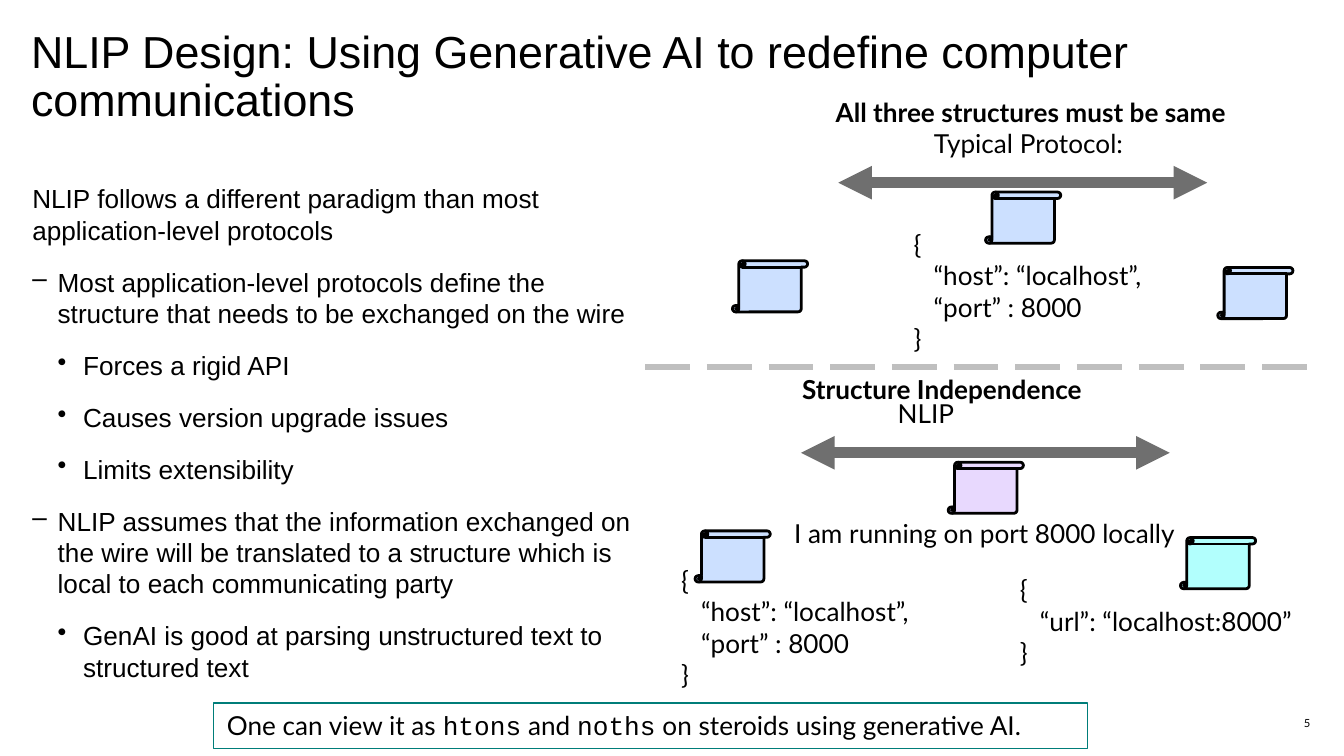
"""Build a slide contrasting typical protocols with NLIP."""
import pptx
import pptx.util
import pptx.dml.color
import pptx.enum.dml
import pptx.enum.shapes
import pptx.enum.text
import pptx.oxml.ns
from lxml import etree

Pt = pptx.util.Pt
RGB = pptx.dml.color.RGBColor
SHAPE = pptx.enum.shapes.MSO_SHAPE
ALIGN = pptx.enum.text.PP_ALIGN
ANCHOR = pptx.enum.text.MSO_ANCHOR
DASH = pptx.enum.dml.MSO_LINE
qn = pptx.oxml.ns.qn

BLACK = RGB(0x00, 0x00, 0x00)
GRAY = RGB(0x6F, 0x6F, 0x6F)
LIGHT_GRAY = RGB(0xBF, 0xBF, 0xBF)
TEAL = RGB(0x00, 0x7D, 0x79)
BLUE = RGB(0xCC, 0xE0, 0xFF)
CYAN = RGB(0xB2, 0xFF, 0xFD)
PURPLE = RGB(0xE8, 0xD9, 0xFE)

TITLE = "NLIP Design: Using Generative AI to redefine computer communications"
BODY = [
    (0, "NLIP follows a different paradigm than most application-level protocols"),
    (1, "Most application-level protocols define the structure that needs to be exchanged on the wire"),
    (2, "Forces a rigid API"),
    (2, "Causes version upgrade issues"),
    (2, "Limits extensibility"),
    (1, "NLIP assumes that the information exchanged on the wire will be translated "
        "to a structure which is local to each communicating party"),
    (2, "GenAI is good at parsing unstructured text to structured text"),
]
BULLETS = {1: "–", 2: "•"}
INDENT = 13.6

HOST_PORT = ["{", "   “host”: “localhost”,", "   “port” : 8000", "}"]
URL = ["{", "   “url”: “localhost:8000”", "}"]
LABELS = [
    (493.2, 64.8, 121, 24.5, ["Typical Protocol:"], False),
    (482.4, 118.8, 148.3, 75, HOST_PORT, False),
    (440.6, 48.2, 239, 24.5, ["All three structures must be same"], True),
    (473.8, 209.5, 46, 24.5, ["NLIP"], False),
    (357.8, 298.8, 148.3, 75, HOST_PORT, False),
    (539.3, 303.8, 175.7, 58.3, URL, False),
    (422.6, 196.6, 177, 24.5, ["Structure Independence"], True),
    (418.3, 273.6, 225.4, 24.5, ["I am running on port 8000 locally"], False),
]
DIAGRAMS = [
    {"left": 392.4, "top": 97.9, "fills": (BLUE, BLUE, BLUE)},
    {"left": 372.4, "top": 242.6, "fills": (BLUE, PURPLE, CYAN)},
]
SCROLL_OFFSETS = [(0, 41.8), (135.6, 5), (260, 45.4)]
SCROLL_SIZE = (40.3, 27.4)
ARROW_OFFSET, ARROW_LENGTH = 56.7, 197.6
SUMMARY = [("One can view it as ", "Lato"), ("htons", "Courier New"), (" and ", "Lato"),
           ("noths", "Courier New"), (" on steroids using generative AI.", "Lato")]


def set_all(obj, values):
    for name, value in values.items():
        setattr(obj, name, value)


def frame(sp, margins=(0, 0), **values):
    x, y = map(Pt, margins)
    set_all(sp.text_frame, {"word_wrap": True, "vertical_anchor": ANCHOR.TOP,
                            "margin_left": x, "margin_right": x,
                            "margin_top": y, "margin_bottom": y, **values})
    return sp.text_frame


def add_run(p, text, font="Arial", size=14, bold=False):
    r = p.add_run()
    r.text = text
    set_all(r.font, {"name": font, "size": Pt(size), "bold": bold})
    r.font.color.rgb = BLACK


def add_box(s, *box):
    return s.shapes.add_textbox(*map(Pt, box))


def add_line(s, x1, x2, y, color, width):
    sp = s.shapes.add_connector(pptx.enum.shapes.MSO_CONNECTOR.STRAIGHT,
                                Pt(x1), Pt(y), Pt(x2), Pt(y))
    sp.line.color.rgb = color
    sp.line.width = Pt(width)
    etree.SubElement(sp.element.spPr, qn("a:effectLst"))
    return sp


def add_body(s):
    tf = frame(add_box(s, 17.3, 97.9, 324.7, 256.3))
    for i, (level, text) in enumerate(BODY):
        p = tf.paragraphs[0] if i == 0 else tf.add_paragraph()
        set_all(p, {"level": level, "space_before": Pt(11 if i else 0)})
        if level:
            pPr = p._p.get_or_add_pPr()
            pPr.set("marL", str(Pt(INDENT * level)))
            pPr.set("indent", str(-Pt(INDENT)))
            etree.SubElement(pPr, qn("a:buChar")).set("char", BULLETS[level])
        add_run(p, text)


def add_label(s, left, top, width, height, lines, bold):
    tf = frame(add_box(s, left, top, width, height), (7.2, 3.6), word_wrap=False)
    for i, text in enumerate(lines):
        p = tf.paragraphs[0] if i == 0 else tf.add_paragraph()
        add_run(p, text, "Lato", bold=bold)


def add_diagram(s, left, top, fills):
    start = left + ARROW_OFFSET
    arrow = add_line(s, start, start + ARROW_LENGTH, top, GRAY, 6)
    ln = arrow.line._get_or_add_ln()
    for end in ("a:headEnd", "a:tailEnd"):
        etree.SubElement(ln, qn(end)).set("type", "triangle")
    for (dx, dy), fill in zip(SCROLL_OFFSETS, fills):
        sp = s.shapes.add_shape(SHAPE.VERTICAL_SCROLL,
                                *map(Pt, (left + dx, top + dy, *SCROLL_SIZE)))
        sp.shadow.inherit = False
        sp.fill.solid()
        sp.fill.fore_color.rgb = fill
        sp.line.color.rgb = BLACK
        sp.line.width = Pt(1.5)


def add_summary(s):
    sp = s.shapes.add_shape(SHAPE.RECTANGLE, *map(Pt, (114.5, 376.6, 468, 24.5)))
    sp.shadow.inherit = False
    sp.fill.background()
    sp.line.color.rgb = TEAL
    sp.line.width = Pt(0.75)
    p = frame(sp, (7.2, 3.6)).paragraphs[0]
    p.alignment = ALIGN.LEFT
    for text, font in SUMMARY:
        add_run(p, text, font)


def main():
    prs = pptx.Presentation()
    set_all(prs, {"slide_width": Pt(720), "slide_height": Pt(405)})
    s = prs.slides.add_slide(prs.slide_layouts[5])
    title = s.shapes.title
    set_all(title, dict(zip(("left", "top", "width", "height"),
                            map(Pt, (16.6, 15.8, 685.4, 63.4)))))
    p = frame(title).paragraphs[0]
    set_all(p, {"alignment": ALIGN.LEFT, "line_spacing": 0.9})
    add_run(p, TITLE, size=24)

    add_body(s)
    for diagram in DIAGRAMS:
        add_diagram(s, **diagram)
    for label in LABELS:
        add_label(s, *label)
    add_summary(s)
    divider = add_line(s, 345.6, 704.2, 196.6, LIGHT_GRAY, 3)
    divider.line.dash_style = DASH.LONG_DASH

    number = frame(add_box(s, 558, 380.9, 144, 13), vertical_anchor=ANCHOR.MIDDLE)
    number.paragraphs[0].alignment = ALIGN.RIGHT
    add_run(number.paragraphs[0], "5", "Lato", 6)
    prs.save("out.pptx")


if __name__ == "__main__":
    main()
